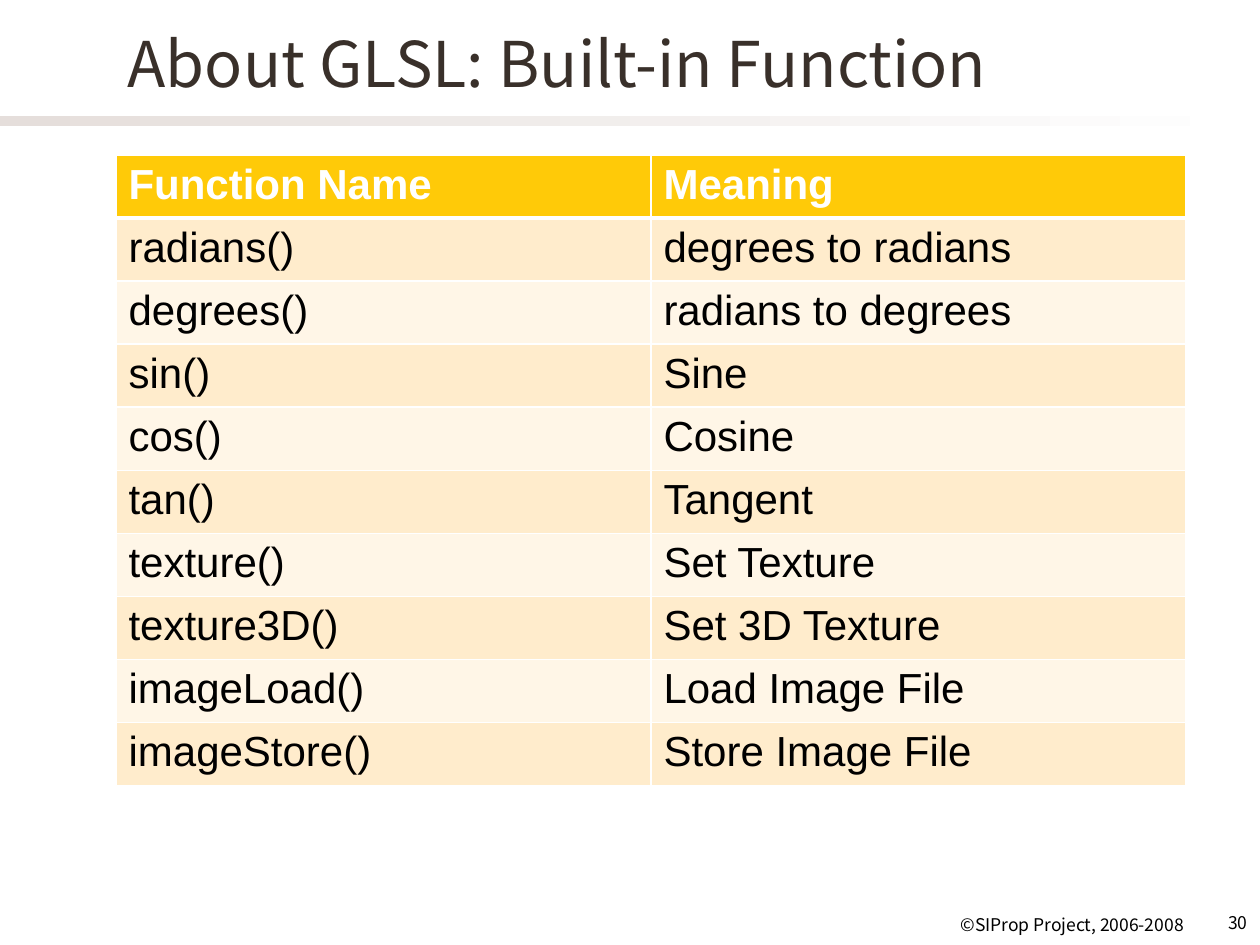
import pptx
import pptx.util
import pptx.dml.color
import pptx.enum.text
import pptx.enum.shapes
import pptx.oxml.ns
import lxml.etree

RGB = pptx.dml.color.RGBColor
ALIGN = pptx.enum.text.PP_ALIGN
ANCHOR = pptx.enum.text.MSO_ANCHOR

# Content
TITLE = "About GLSL: Built-in Function"
ROWS = [
    ("Function Name", "Meaning"),
    ("radians()", "degrees to radians"),
    ("degrees()", "radians to degrees"),
    ("sin()", "Sine"),
    ("cos()", "Cosine"),
    ("tan()", "Tangent"),
    ("texture()", "Set Texture"),
    ("texture3D()", "Set 3D Texture"),
    ("imageLoad()", "Load Image File"),
    ("imageStore()", "Store Image File"),
]
NOTES = [  # text and box in px
    ("©SIProp Project, 2006-2008", (640, 908, 556, 40)),
    ("30", (1200, 906, 60, 39)),
]

# Colours
WHITE = RGB(0xFF, 0xFF, 0xFF)
BLACK = RGB(0, 0, 0)
BROWN = RGB(0x39, 0x30, 0x2A)
STONE = RGB(0xE5, 0xDE, 0xDB)
GOLD = RGB(0xFF, 0xCA, 0x08)
BANDS = [RGB(0xFF, 0xF6, 0xE7), RGB(0xFF, 0xEC, 0xCC)]

# Text formats
SANS = "Noto Sans CJK JP"
HEAD = {"name": SANS, "size": pptx.util.Pt(36), "color": BROWN}
FOOT = {"name": SANS, "size": pptx.util.Pt(10), "color": BLACK}
BODY = {"name": "Arial", "size": pptx.util.Pt(24), "color": BLACK, "bold": False}
TOP = {**BODY, "color": WHITE, "bold": True}

# Sizes in px
SCALE = 914400 / 126
WIDE, HIGH = 1260, 945
COL, ROW = 535, 51


def emu(*nums):
    return [round(n * SCALE) for n in nums]


def write(frame, text, form, align=ALIGN.LEFT):
    para = frame.paragraphs[0]
    para.alignment = align
    run = para.add_run()
    run.text = text
    for key, val in form.items():
        if key == "color":
            run.font.color.rgb = val
        else:
            setattr(run.font, key, val)


def edge(cell, side, width):
    props = cell._tc.get_or_add_tcPr()
    qn = pptx.oxml.ns.qn
    line = lxml.etree.SubElement(props, qn("a:ln" + side), w=str(pptx.util.Pt(width)))
    fill = lxml.etree.SubElement(line, qn("a:solidFill"))
    lxml.etree.SubElement(fill, qn("a:srgbClr"), val=str(WHITE))


def main():
    deck = pptx.Presentation()
    deck.slide_width, deck.slide_height = emu(WIDE, HIGH)
    slide = deck.slides.add_slide(deck.slide_layouts[5])
    shapes = slide.shapes

    # Fading bar under the title
    rect = pptx.enum.shapes.MSO_SHAPE.RECTANGLE
    bar = shapes.add_shape(rect, *emu(0, 116, WIDE, 10))
    bar.shadow.inherit = False
    bar.line.fill.background()
    bar.fill.gradient()
    bar.fill.gradient_angle = 0
    for stop, color, pos in zip(bar.fill.gradient_stops, (STONE, WHITE), (0, 1)):
        stop.color.rgb = color
        stop.position = pos

    # Title
    title = shapes.title
    title.left, title.top, title.width, title.height = emu(115, 0, 1071, 125)
    title.text_frame.vertical_anchor = ANCHOR.MIDDLE
    write(title.text_frame, TITLE, HEAD)

    # Footer and page number
    for text, box in NOTES:
        frame = shapes.add_textbox(*emu(*box)).text_frame
        frame.word_wrap = True
        write(frame, text, FOOT, ALIGN.RIGHT)

    # Function table
    size = emu(116, 155, COL * 2, ROW * len(ROWS))
    table = shapes.add_table(len(ROWS), 2, *size).table
    for col in table.columns:
        col.width = emu(COL)[0]
    for i, row in enumerate(ROWS):
        table.rows[i].height = emu(ROW)[0]
        for j, text in enumerate(row):
            cell = table.cell(i, j)
            for side in "LRTB":
                thick = (i, side) in ((0, "B"), (1, "T"))
                edge(cell, side, 3 if thick else 1)
            cell.fill.solid()
            cell.fill.fore_color.rgb = BANDS[i % 2] if i else GOLD
            write(cell.text_frame, text, BODY if i else TOP)

    deck.save("out.pptx")


if __name__ == "__main__":
    main()
